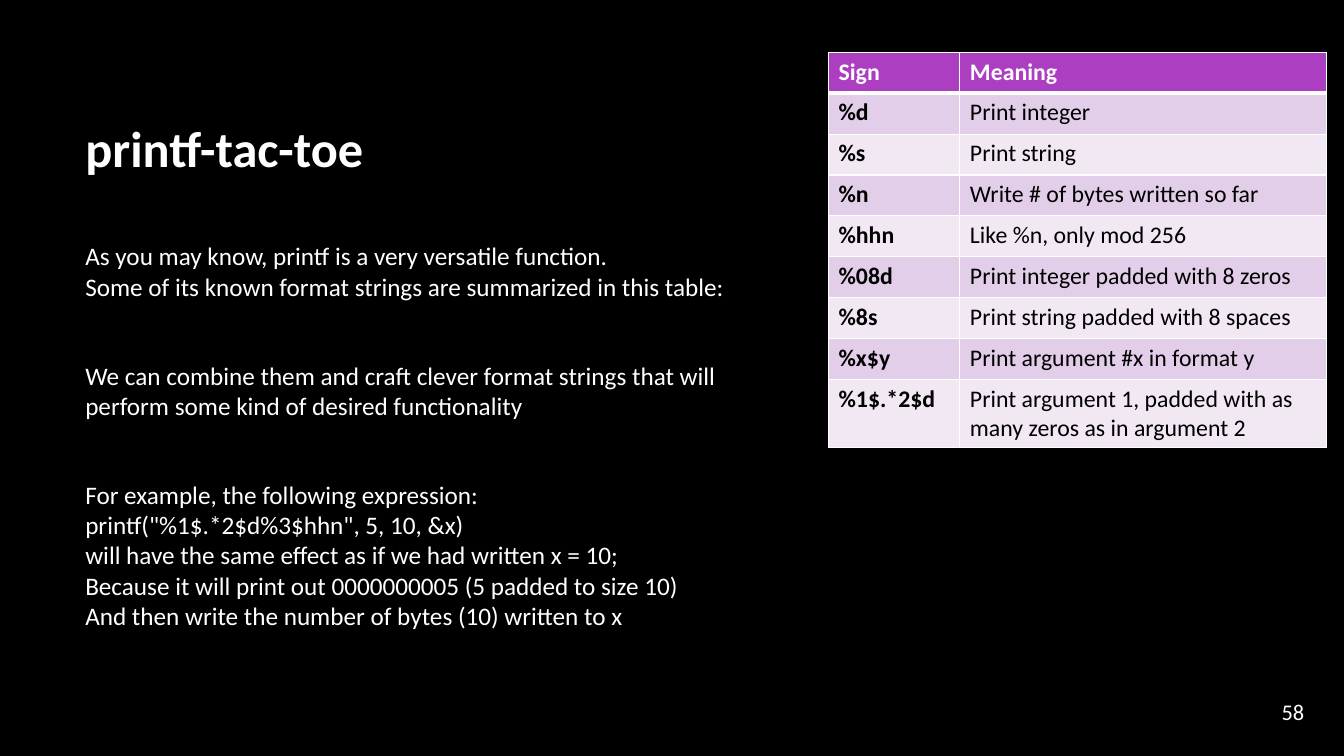
from pptx import Presentation
from pptx.dml.color import RGBColor
from pptx.enum.text import MSO_ANCHOR, MSO_AUTO_SIZE, PP_ALIGN
from pptx.oxml import parse_xml
from pptx.oxml.ns import nsdecls
from pptx.util import Cm, Pt

TITLE = "printf-tac-toe"
BODY = [
    "As you may know, printf is a very versatile function.\n"
    "Some of its known format strings are summarized in this table:",
    "We can combine them and craft clever format strings that will\n"
    "perform some kind of desired functionality",
    "For example, the following expression:\n"
    'printf("%1$.*2$d%3$hhn", 5, 10, &x)\n'
    "will have the same effect as if we had written x = 10;\n"
    "Because it will print out 0000000005 (5 padded to size 10)\n"
    "And then write the number of bytes (10) written to x",
]
NUMBER = "58"
SIGNS = [
    ("Sign", "Meaning"),
    ("%d", "Print integer"),
    ("%s", "Print string"),
    ("%n", "Write # of bytes written so far"),
    ("%hhn", "Like %n, only mod 256"),
    ("%08d", "Print integer padded with 8 zeros"),
    ("%8s", "Print string padded with 8 spaces"),
    ("%x$y", "Print argument #x in format y"),
    ("%1$.*2$d", "Print argument 1, padded with as many zeros as in argument 2"),
]
COLS = (3.31, 9.23)
ROW, LAST = 1.03, 1.72
FONT = "Calibri"
COLORS = {"black": "000000", "white": "FFFFFF", "head": "AC3EC1",
          "dark": "E3CEE9", "light": "F1E8F4"}


def color(name):
    return RGBColor.from_string(COLORS[name])


def style(para, size, tint="white", bold=False):
    for run in para.runs:
        font = run.font
        font.name, font.size, font.bold = FONT, Pt(size), bold
        font.color.rgb = color(tint)


def add_text(slide, box, texts, size):
    frame = slide.shapes.add_textbox(*map(Cm, box)).text_frame
    frame.word_wrap = True
    for i, text in enumerate(texts):
        para = frame.add_paragraph() if i else frame.paragraphs[0]
        para.text = text
        style(para, size)
    return frame


def add_edges(cell, row):
    """Draw white cell borders, thick under the header row."""
    props = cell._tc.get_or_add_tcPr()
    thick = {"T": row == 1, "B": row == 0}
    for i, side in enumerate("LRTB"):
        width = Pt(3 if thick.get(side) else 1)
        props.insert(i, parse_xml(
            f'<a:ln{side} {nsdecls("a")} w="{width}"><a:solidFill>'
            f'<a:srgbClr val="{COLORS["white"]}"/></a:solidFill></a:ln{side}>'))


def add_signs(slide):
    height = ROW * (len(SIGNS) - 1) + LAST
    table = slide.shapes.add_table(
        len(SIGNS), len(COLS), Cm(20.88), Cm(1.32),
        Cm(sum(COLS)), Cm(height)).table
    for col, width in zip(table.columns, COLS):
        col.width = Cm(width)
    for r, texts in enumerate(SIGNS):
        table.rows[r].height = Cm(LAST if r == len(SIGNS) - 1 else ROW)
        band = "head" if r == 0 else "dark" if r % 2 else "light"
        for c, text in enumerate(texts):
            cell = table.cell(r, c)
            cell.text_frame.text = text
            style(cell.text_frame.paragraphs[0], 17,
                  "black" if r else "white", r == 0 or c == 0)
            cell.fill.solid()
            cell.fill.fore_color.rgb = color(band)
            add_edges(cell, r)


def main():
    deck = Presentation()
    deck.slide_width, deck.slide_height = Cm(33.87), Cm(19.05)
    slide = deck.slides.add_slide(deck.slide_layouts[5])
    slide.background.fill.solid()
    slide.background.fill.fore_color.rgb = color("black")

    title = slide.shapes.title
    title.left, title.top, title.width, title.height = map(
        Cm, (1.9, 1.7, 28.14, 4.04))
    frame = title.text_frame
    frame.text = TITLE
    frame.auto_size = MSO_AUTO_SIZE.NONE
    frame.vertical_anchor = MSO_ANCHOR.MIDDLE
    frame.paragraphs[0].alignment = PP_ALIGN.LEFT
    style(frame.paragraphs[0], 36, bold=True)

    body = add_text(slide, (1.9, 5.94, 28.14, 12.5), BODY, 18)
    for i, para in enumerate(body.paragraphs):
        para.line_spacing = Pt(21.6)
        para.space_before = Pt(42 if i else 0)

    number = add_text(slide, (31.6, 17.4, 1.52, 1.04), [NUMBER], 16)
    number.vertical_anchor = MSO_ANCHOR.MIDDLE
    number.paragraphs[0].alignment = PP_ALIGN.RIGHT

    add_signs(slide)
    deck.save("out.pptx")


if __name__ == "__main__":
    main()
